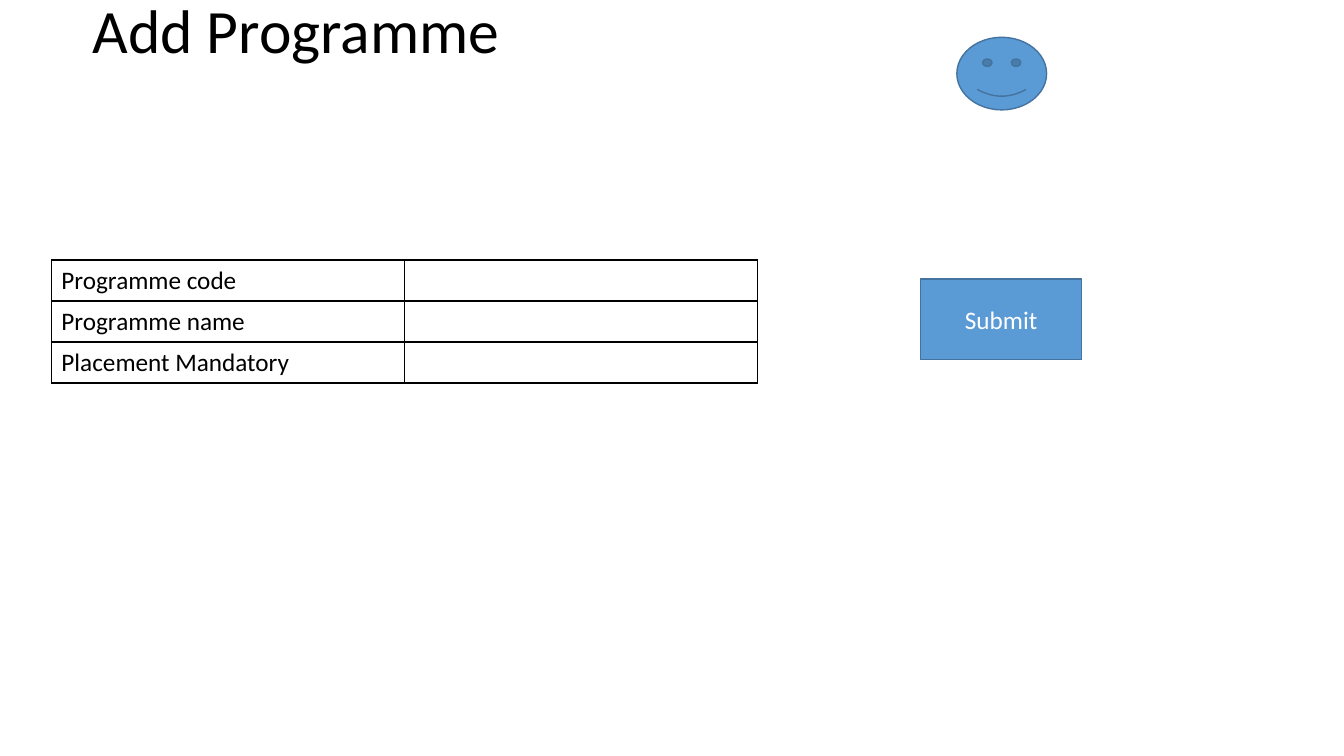
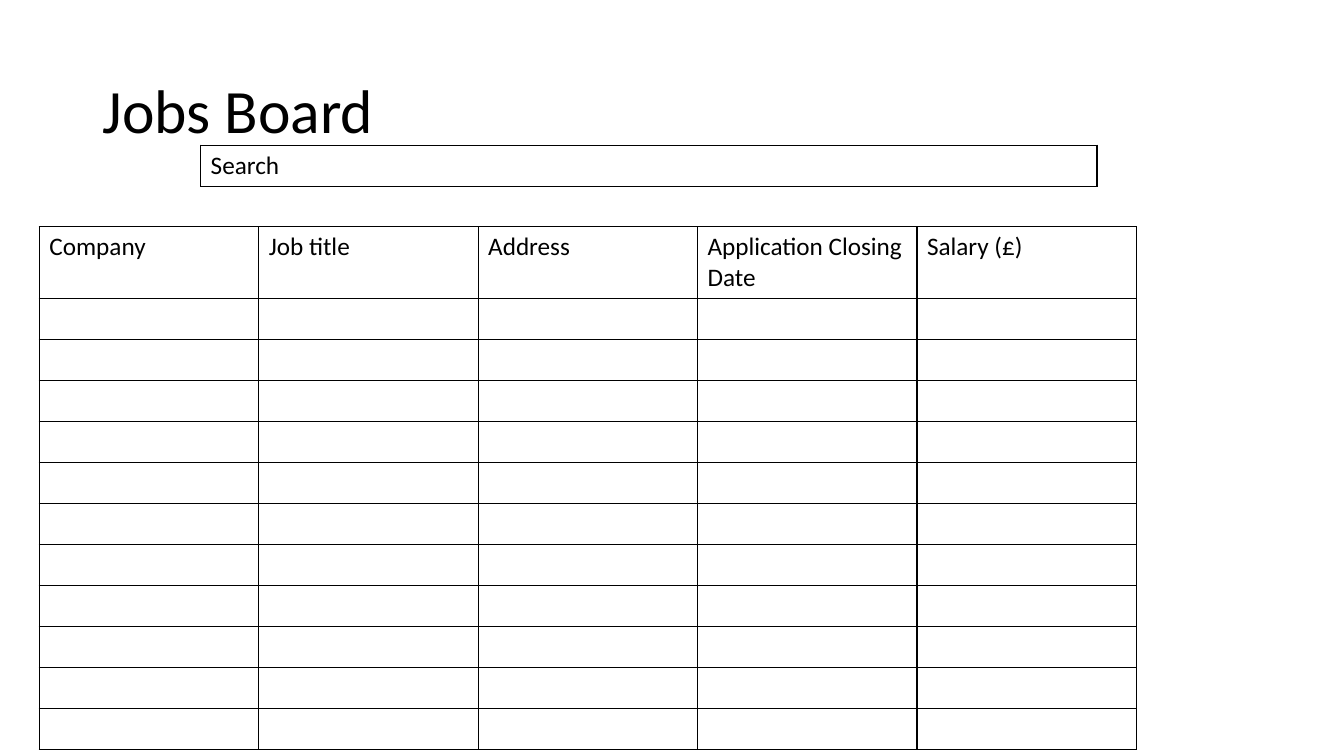
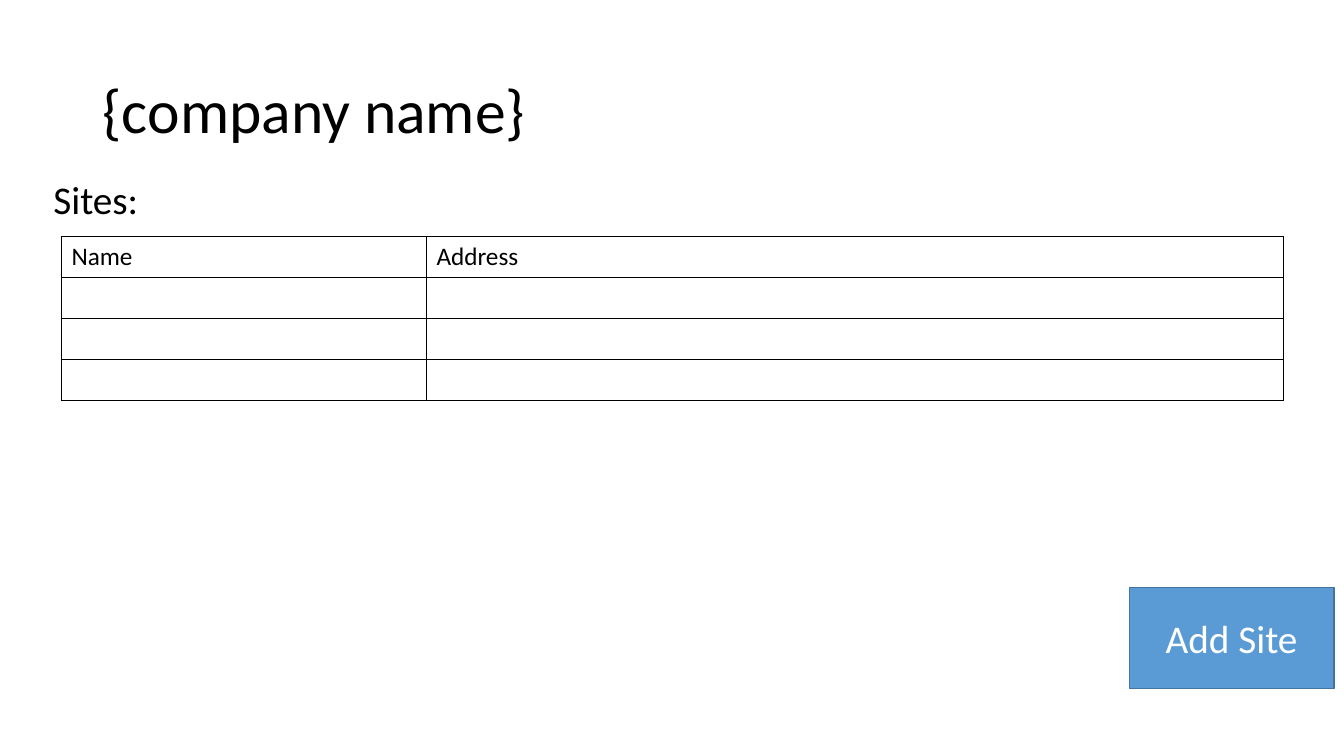
from lxml.etree import SubElement
from pptx import Presentation
from pptx.dml.color import RGBColor
from pptx.enum.shapes import MSO_SHAPE
from pptx.enum.text import MSO_ANCHOR, PP_ALIGN
from pptx.oxml.ns import qn
from pptx.util import Inches, Pt

# Shared style; the grid has ten columns and ten rows to the inch
FONT = "Calibri"
BLACK, WHITE, BLUE, DARK_BLUE = "000000", "FFFFFF", "5B9BD5", "43739E"
TITLE_SIZE, LARGE_SIZE, BODY_SIZE = 44, 28, 18
ROW = 4.07
TITLE_BOX = (9.2, 4, 115, 14.5)


def grid(count):
    return Inches(count / 10)


def colour(hex_value):
    return RGBColor.from_string(hex_value)


def write(frame, text, size=BODY_SIZE, hex_value=BLACK, **layout):
    """Put one paragraph in a frame and return it."""
    para = frame.paragraphs[0]
    for name, value in layout.items():
        setattr(para, name, value)
    span = para.add_run()
    span.text = text
    for name, value in {"name": FONT, "size": Pt(size)}.items():
        setattr(span.font, name, value)
    span.font.color.rgb = colour(hex_value)
    return para


def add_text(page, box, text, size, wrap=True, **layout):
    frame = page.shapes.add_textbox(*map(grid, box)).text_frame
    frame.word_wrap = wrap
    write(frame, text, size, **layout)
    return frame


def add_title(page, text, box=TITLE_BOX):
    frame = add_text(page, box, text, TITLE_SIZE, line_spacing=0.9)
    frame.vertical_anchor = MSO_ANCHOR.MIDDLE


def add_blue_shape(page, kind, box):
    shape = page.shapes.add_shape(kind, *map(grid, box))
    shape.shadow.inherit = False
    shape.fill.solid()
    shape.fill.fore_color.rgb = colour(BLUE)
    shape.line.color.rgb = colour(DARK_BLUE)
    shape.line.width = Pt(1)
    return shape


def add_button(page, box, text, size=BODY_SIZE):
    frame = add_blue_shape(page, MSO_SHAPE.RECTANGLE, box).text_frame
    frame.word_wrap = True
    frame.vertical_anchor = MSO_ANCHOR.MIDDLE
    write(frame, text, size, WHITE, alignment=PP_ALIGN.CENTER)


def outline_cell(cell):
    properties = cell._tc.get_or_add_tcPr()
    for side in ("a:lnL", "a:lnR", "a:lnT", "a:lnB"):
        line = SubElement(properties, qn(side), w=str(Pt(1)))
        fill = SubElement(line, qn("a:solidFill"))
        SubElement(fill, qn("a:srgbClr"), val=BLACK)
    cell.fill.background()


def add_form_table(page, left, top, widths, rows, heading_height=ROW):
    """Draw an outlined table; an empty string leaves a cell blank."""
    heights = [heading_height] + [ROW] * (len(rows) - 1)
    box = (left, top, sum(widths), sum(heights))
    table = page.shapes.add_table(len(rows), len(widths), *map(grid, box)).table
    table.first_row = table.horz_banding = False
    for column, width in zip(table.columns, widths):
        column.width = grid(width)
    for row, height, texts in zip(table.rows, heights, rows):
        row.height = grid(height)
        for cell, text in zip(row.cells, texts):
            outline_cell(cell)
            if text:
                write(cell.text_frame, text)


def with_blank_rows(headings, count):
    return [headings] + [[""] * len(headings)] * count


def build_programme_form(page):
    add_title(page, "Add Programme", (8.2, -3.9, 115, 14.5))
    labels = ["Programme code", "Programme name", "Placement Mandatory"]
    add_form_table(page, 5.1, 25.8, [35, 35], [[label, ""] for label in labels])
    add_button(page, (91.3, 27.7, 16, 8), "Submit")
    add_blue_shape(page, MSO_SHAPE.SMILEY_FACE, (94.9, 3.7, 8.9, 7.2))


def build_jobs_board(page):
    add_title(page, "Jobs Board")
    headings = ["Company", "Job title", "Address",
                "Application Closing Date", "Salary (£)"]
    add_form_table(page, 3.9, 22.5, [21.76] * 5,
                   with_blank_rows(headings, 11), heading_height=7.1)
    # Search field
    add_form_table(page, 19.9, 14.4, [88.9], [["Search"]])


def build_company_sites(page):
    add_title(page, "{company name}")
    add_form_table(page, 6.1, 23.5, [36.2, 85],
                   with_blank_rows(["Name", "Address"], 3))
    add_text(page, (4.3, 16.9, 10.5, 5.7), "Sites:", LARGE_SIZE, wrap=False)
    add_button(page, (112, 58.3, 20.3, 10), "Add Site", LARGE_SIZE)


def main():
    deck = Presentation()
    deck.slide_width, deck.slide_height = Inches(13.33), Inches(7.5)
    for build in (build_programme_form, build_jobs_board, build_company_sites):
        build(deck.slides.add_slide(deck.slide_layouts[6]))
    deck.save("out.pptx")


if __name__ == "__main__":
    main()
